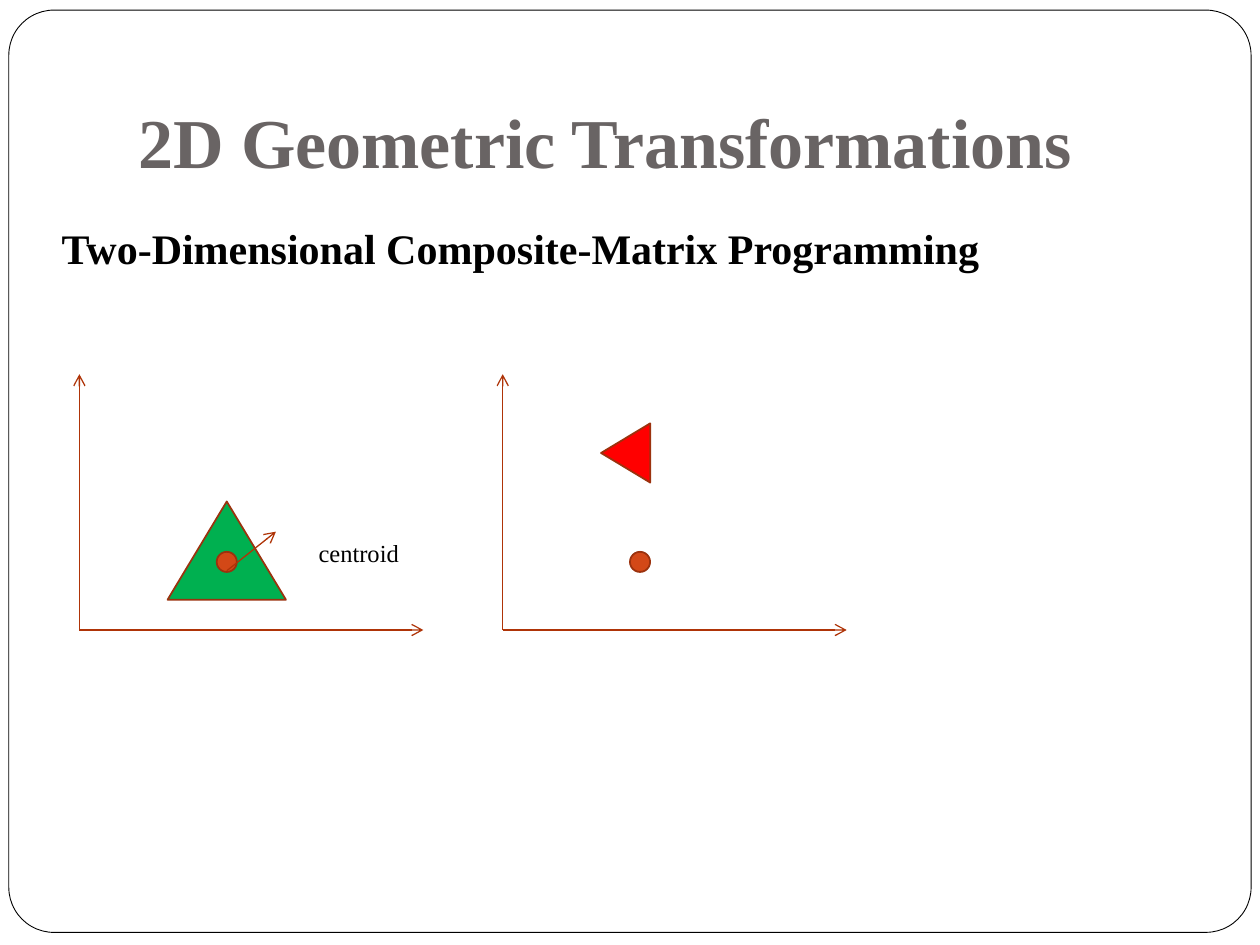
from lxml.etree import SubElement
from pptx import Presentation
from pptx.dml.color import RGBColor
from pptx.enum.shapes import MSO_CONNECTOR, MSO_SHAPE
from pptx.enum.text import MSO_ANCHOR
from pptx.oxml.ns import qn
from pptx.util import Inches, Pt

BLACK = RGBColor(0x00, 0x00, 0x00)
WHITE = RGBColor(0xFF, 0xFF, 0xFF)
TITLE_GREY = RGBColor(0x69, 0x64, 0x64)
AXIS_RED = RGBColor(0xAF, 0x34, 0x08)
OUTLINE = RGBColor(0x9B, 0x32, 0x0E)
GREEN = RGBColor(0x00, 0xB0, 0x50)
RED = RGBColor(0xFF, 0x00, 0x00)
ORANGE = RGBColor(0xD3, 0x48, 0x17)

# Grid of 100 columns by 75 rows; positions are given in grid cells
SLIDE_WIDTH, SLIDE_HEIGHT = Inches(10), Inches(7.5)
COLUMN, ROW = SLIDE_WIDTH / 100, SLIDE_HEIGHT / 75

# Both plots share one baseline and one size
PLOT_LEFTS = (6.3, 39.9)
BASELINE, AXIS_WIDTH, AXIS_HEIGHT = 50, 27.3, 20.3
DOT_LEFTS, DOT_TOP, DOT_SIZE = (17.2, 50), 43.8, 1.6


def place(column, row):
    return round(column * COLUMN), round(row * ROW)


def add_figure(slide, kind, left, top, width, height, fill, line=OUTLINE, weight=1):
    figure = slide.shapes.add_shape(kind, *place(left, top), *place(width, height))
    figure.shadow.inherit = False
    figure.fill.solid()
    figure.fill.fore_color.rgb = fill
    figure.line.color.rgb = line
    figure.line.width = Pt(weight)
    return figure


def add_text(slide, text, left, top, width, height, size, color=BLACK,
             bold=False, wrap=True):
    box = slide.shapes.add_textbox(*place(left, top), *place(width, height))
    frame = box.text_frame
    frame.word_wrap = wrap
    para = frame.paragraphs[0]
    para.text = text
    para.font.name = "Times New Roman"
    para.font.size = Pt(size)
    para.font.bold = bold
    para.font.color.rgb = color
    return frame


def add_arrow(slide, start, end):
    arrow = slide.shapes.add_connector(MSO_CONNECTOR.STRAIGHT, *place(*start), *place(*end))
    arrow.line.color.rgb = AXIS_RED
    arrow.line.width = Pt(0.75)
    SubElement(arrow.line._get_or_add_ln(), qn("a:tailEnd"), type="arrow")
    SubElement(arrow._element.spPr, qn("a:effectLst"))


def add_axes(slide, left):
    origin = (left, BASELINE)
    add_arrow(slide, origin, (left + AXIS_WIDTH, BASELINE))
    add_arrow(slide, origin, (left, BASELINE - AXIS_HEIGHT))


def main():
    deck = Presentation()
    deck.slide_width, deck.slide_height = SLIDE_WIDTH, SLIDE_HEIGHT
    slide = deck.slides.add_slide(deck.slide_layouts[6])

    # Rounded page frame
    page = add_figure(slide, MSO_SHAPE.ROUNDED_RECTANGLE, 0.7, 0.8, 98.6, 73.2,
                      WHITE, BLACK, 0.5)
    page.adjustments[0] = 0.049

    # Headings
    title = add_text(slide, "2D Geometric Transformations", 10, 3, 85, 12.5, 40,
                     TITLE_GREY, bold=True)
    title.vertical_anchor = MSO_ANCHOR.BOTTOM
    title.margin_bottom = Inches(0.1)
    add_text(slide, "Two-Dimensional Composite-Matrix Programming",
             3.9, 17.2, 89.8, 5, 24, bold=True)

    # Plots before and after the transformation
    for left in PLOT_LEFTS:
        add_axes(slide, left)
    add_figure(slide, MSO_SHAPE.ISOSCELES_TRIANGLE, 13.3, 39.8, 9.4, 7.8, GREEN)
    turned = add_figure(slide, MSO_SHAPE.ISOSCELES_TRIANGLE, 47.3, 34, 4.7, 3.9, RED)
    turned.rotation = 270

    # Centroid dots and label
    for left in DOT_LEFTS:
        add_figure(slide, MSO_SHAPE.OVAL, left, DOT_TOP, DOT_SIZE, DOT_SIZE, ORANGE)
    add_arrow(slide, (18, 45.3), (21.9, 42.2))
    add_text(slide, "centroid", 24.3, 42.2, 8.4, 3.4, 14, wrap=False)

    deck.save("out.pptx")


if __name__ == "__main__":
    main()
